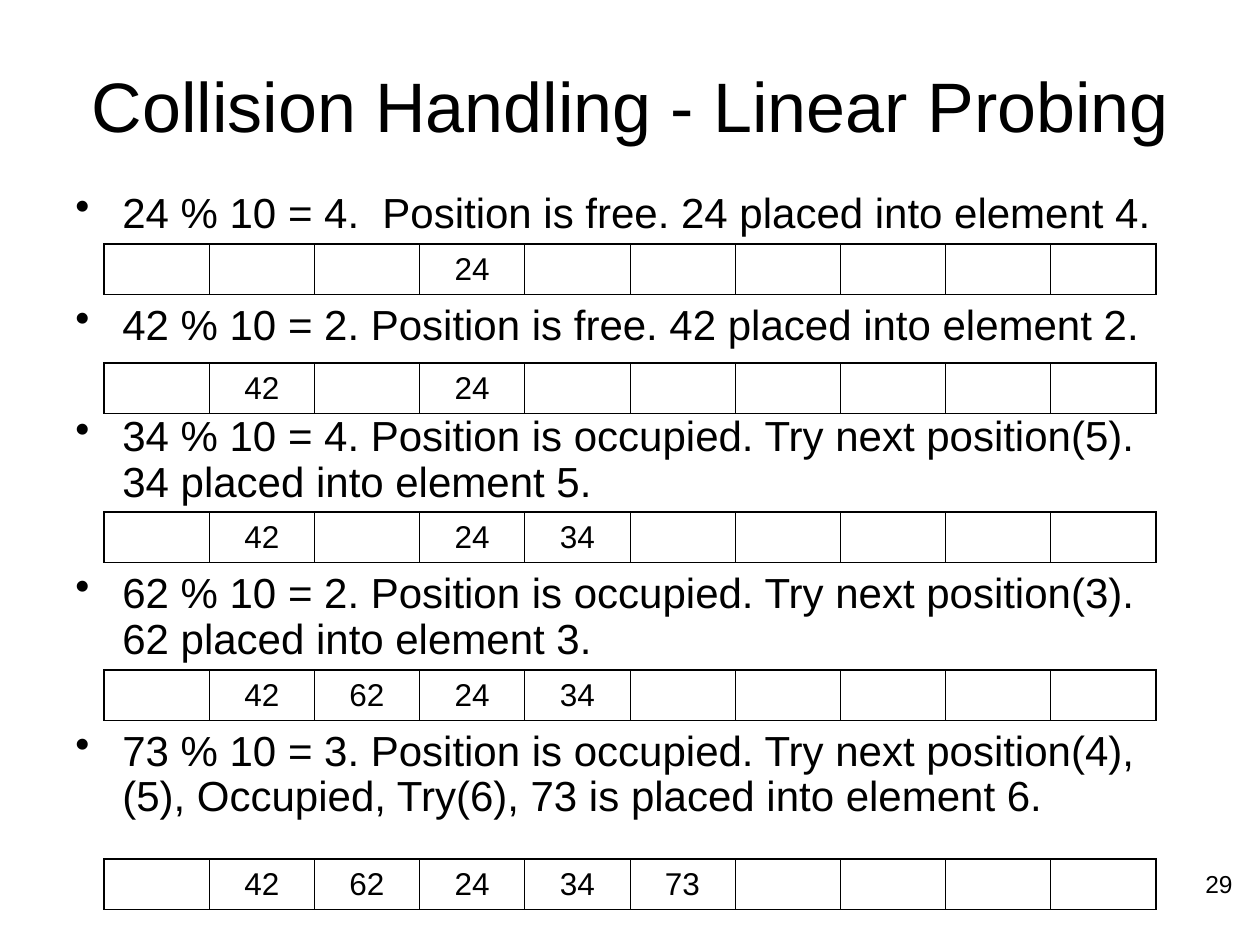
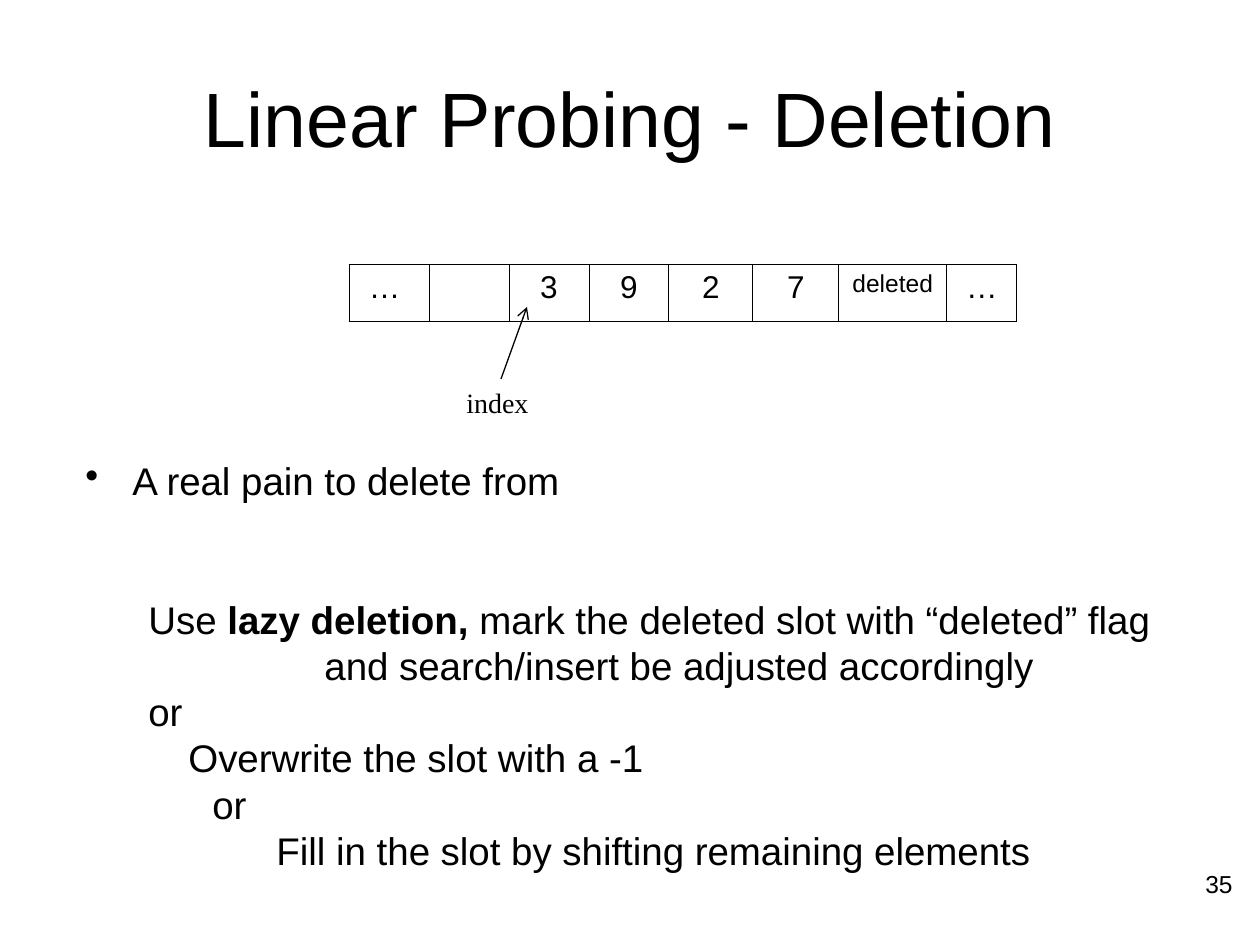
"""Build two slides on linear probing: collision handling and deletion."""
from dataclasses import dataclass

from lxml import etree
from pptx import Presentation
from pptx import util as u
from pptx.dml.color import RGBColor
from pptx.enum import shapes, text
from pptx.oxml import ns


@dataclass(frozen=True)
class Theme:
    ink: str = "000000"
    paper: str = "FFFFFF"
    face: str = "Arial"
    label_face: str = "Times New Roman"
    step: int = 24
    note: int = 22
    slot: int = 18
    label: int = 16
    small: int = 14
    outer: float = 1.08
    inner: float = 0.45


theme = Theme()
PX = 914400 / 126
ink = RGBColor.from_string(theme.ink)
paper = RGBColor.from_string(theme.paper)
align = text.PP_ALIGN


def write(paragraph, runs, size, face=theme.face, indent=None, bullet=False, **layout):
    for words, bold in [(runs, False)] if isinstance(runs, str) else runs:
        run = paragraph.add_run()
        run.text = words
        looks = {"name": face, "size": u.Pt(size), "bold": bold}
        for key, value in looks.items():
            setattr(run.font, key, value)
        run.font.color.rgb = ink
    for key, value in layout.items():
        setattr(paragraph, key, value)
    if indent is not None:
        props = paragraph._p.get_or_add_pPr()
        props.set("marL", str(round(indent * PX)))
        if bullet:
            props.set("indent", str(round(-indent * PX)))
            etree.SubElement(props, ns.qn("a:buChar")).set("char", "•")


def slot_row(slide, box, slots, edge, fill=None, anchor=text.MSO_ANCHOR.MIDDLE):
    table = slide.shapes.add_table(1, len(slots), *(round(n * PX) for n in box)).table
    table.first_row = table.horz_banding = False
    last = len(slots) - 1
    for column, value in enumerate(slots):
        cell = table.cell(0, column)
        cell.vertical_anchor = anchor
        if fill is None:
            cell.fill.background()
        else:
            cell.fill.solid()
            cell.fill.fore_color.rgb = fill
        if value:
            size = theme.small if value == "deleted" else theme.slot
            write(cell.text_frame.paragraphs[0], value, size, alignment=align.CENTER)
        borders = {
            "lnL": edge if column == 0 else theme.inner,
            "lnR": edge if column == last else theme.inner,
            "lnT": edge,
            "lnB": edge,
        }
        props = cell._tc.get_or_add_tcPr()
        for place, (side, weight) in enumerate(borders.items()):
            border = etree.Element(ns.qn(f"a:{side}"), w=str(u.Pt(weight)))
            solid = etree.SubElement(border, ns.qn("a:solidFill"))
            etree.SubElement(solid, ns.qn("a:srgbClr"), val=theme.ink)
            props.insert(place, border)
    return table


deck = Presentation()
deck.slide_width, deck.slide_height = round(1260 * PX), round(945 * PX)

headings = [
    ("Collision Handling - Linear Probing", 26, 40, "29", (63, 185, 1134, 694)),
    ("Linear Probing - Deletion", 38, 44, "35", (73, 451, 1155, 431)),
]
page_number_box = (951, 863, 294, 66)
index_box = (454, 379, 94, 53)
slides, bodies = [], []
for heading, top, size, number, body_box in headings:
    slide = deck.slides.add_slide(deck.slide_layouts[5])
    title = slide.shapes.title
    frame_box = {"left": 63, "top": top, "width": 1134, "height": 158}
    for key, value in frame_box.items():
        setattr(title, key, round(value * PX))
    title.text_frame.auto_size = text.MSO_AUTO_SIZE.NONE
    title.text_frame.vertical_anchor = text.MSO_ANCHOR.MIDDLE
    write(title.text_frame.paragraphs[0], heading, size, alignment=align.CENTER)

    body, page_number = (
        slide.shapes.add_textbox(*(round(n * PX) for n in box)).text_frame
        for box in (body_box, page_number_box)
    )
    body.word_wrap = page_number.word_wrap = True
    write(page_number.paragraphs[0], number, theme.small, alignment=align.RIGHT)
    slides.append(slide)
    bodies.append(body)

collision, deletion = slides
steps, remedies = bodies

probes = [
    ("24 % 10 = 4.  Position is free. 24 placed into element 4.", 4, "24", 244),
    ("42 % 10 = 2. Position is free. 42 placed into element 2.", 2, "42", 363),
    ("34 % 10 = 4. Position is occupied. Try next position(5). "
     "34 placed into element 5.", 5, "34", 512),
    ("62 % 10 = 2. Position is occupied. Try next position(3). "
     "62 placed into element 3.", 3, "62", 670),
    ("73 % 10 = 3. Position is occupied. Try next position(4), "
     "(5), Occupied, Try(6), 73 is placed into element 6.", 6, "73", 859),
]
hash_slots = [""] * 10
for order, (step, element, key, top) in enumerate(probes):
    paragraph = steps.add_paragraph() if order else steps.paragraphs[0]
    write(paragraph, step, theme.step, indent=47, bullet=True,
          line_spacing=u.Pt(26.2), space_before=u.Pt(37.5 if order else 0))
    hash_slots[element - 1] = key
    slot_row(collision, (104, top, 1052, 48), hash_slots, theme.outer)

slot_widths = [80, 80, 80, 80, 84, 86, 108, 70]
cluster = slot_row(deletion, (349, 264, sum(slot_widths), 57),
                   ["… ", "", "3", "9", "2", "7", "deleted", "…"],
                   theme.inner, paper, text.MSO_ANCHOR.TOP)
for column, width in zip(cluster.columns, slot_widths):
    column.width = round(width * PX)

lazy_deletion = [
    ("Use ", False),
    ("lazy deletion, ", True),
    ("mark the deleted slot with “deleted” flag", False),
]
remedy_lines = [
    ("A real pain to delete from", 47, 0),
    (lazy_deletion, 63, 52.8),
    ("and search/insert be adjusted accordingly", 239, 0),
    ("or", 63, 0),
    ("Overwrite the slot with a -1", 103, 0),
    ("or", 127, 0),
    ("Fill in the slot by shifting remaining elements", 191, 0),
]
for order, (remedy, indent, gap) in enumerate(remedy_lines):
    paragraph = remedies.add_paragraph() if order else remedies.paragraphs[0]
    write(paragraph, remedy, theme.note, indent=indent, bullet=order == 0,
          line_spacing=u.Pt(26.4), space_before=u.Pt(gap))

index_label = deletion.shapes.add_textbox(*(round(n * PX) for n in index_box)).text_frame
index_label.word_wrap = True
write(index_label.paragraphs[0], "index", theme.label, theme.label_face)

index_arrow = deletion.shapes.add_connector(
    shapes.MSO_CONNECTOR.STRAIGHT, *(round(n * PX) for n in (501, 379, 527, 307)))
index_arrow.line.color.rgb = ink
index_arrow.line.width = u.Pt(0.75)
outline = index_arrow.line._get_or_add_ln()
etree.SubElement(outline, ns.qn("a:tailEnd"), type="arrow")
etree.SubElement(index_arrow._element.spPr, ns.qn("a:effectLst"))

deck.save("out.pptx")
